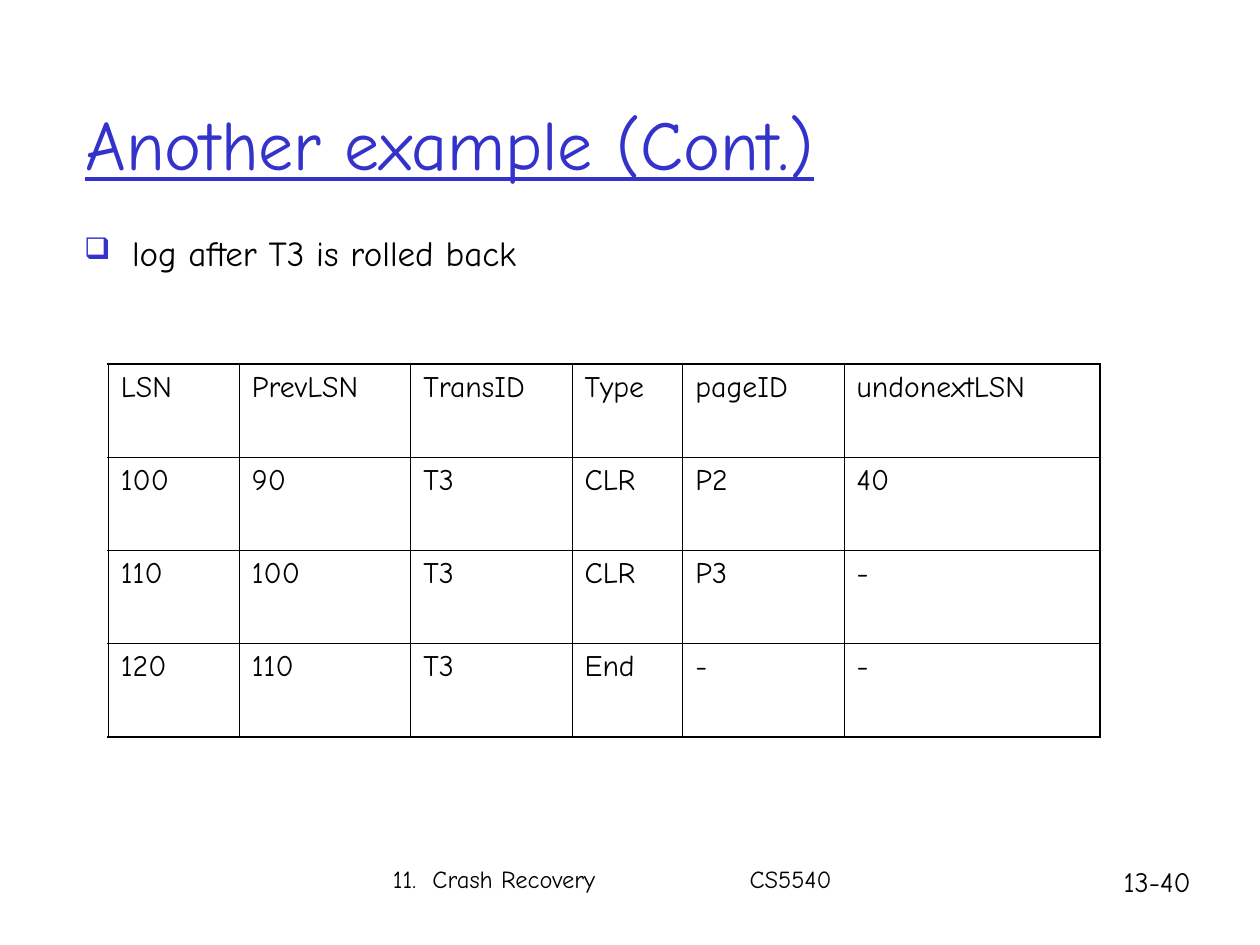
from lxml.etree import SubElement
from pptx import Presentation
from pptx.dml.color import RGBColor
from pptx.enum.text import MSO_ANCHOR as Anchor
from pptx.oxml.ns import qn
from pptx.util import Inches, Pt

FONT = "Comic Neue"
BLACK, BLUE = "000000", "3333CC"
THICK, THIN = 1.08, 0.45

LOG_COLUMNS = [1.04, 1.36, 1.28, 0.88, 1.28, 2.03]
LOG_ROW_HEIGHT = 0.74
LOG_RECORDS = [
    ["LSN", "PrevLSN", "TransID", "Type", "pageID", "undonextLSN"],
    ["100", "90", "T3", "CLR", "P2", "40"],
    ["110", "100", "T3", "CLR", "P3", "-"],
    ["120", "110", "T3", "End", "-", "-"],
]


def rgb(color):
    return RGBColor.from_string(color)


def add_bullet(paragraph, char, color, percent, indent):
    properties = paragraph._p.get_or_add_pPr()
    properties.set("marL", str(Inches(indent)))
    properties.set("indent", str(-Inches(indent)))
    bullet_color = SubElement(properties, qn("a:buClr"))
    SubElement(bullet_color, qn("a:srgbClr"), val=color)
    SubElement(properties, qn("a:buSzPct"), val=str(percent * 1000))
    SubElement(properties, qn("a:buChar"), char=char)


def add_tab_stop(paragraph, position):
    tab_list = SubElement(paragraph._p.get_or_add_pPr(), qn("a:tabLst"))
    SubElement(tab_list, qn("a:tab"), pos=str(Inches(position)), algn="l")


def write_text(frame, text, size, color=BLACK, underline=None,
               anchor=Anchor.TOP, bullet=None, tab=None):
    frame.word_wrap = True
    frame.vertical_anchor = anchor
    paragraph = frame.paragraphs[0]
    paragraph.text = text
    if bullet:
        add_bullet(paragraph, bullet, BLUE, percent=85, indent=0.38)
    if tab:
        add_tab_stop(paragraph, tab)
    font = paragraph.font
    font.name, font.size, font.underline = FONT, Pt(size), underline
    font.color.rgb = rgb(color)


def add_text(slide, left, top, width, height, text, **text_format):
    box = slide.shapes.add_textbox(
        Inches(left), Inches(top), Inches(width), Inches(height))
    write_text(box.text_frame, text, **text_format)


def set_border(cell, side, width):
    line = SubElement(cell._tc.get_or_add_tcPr(), qn(f"a:ln{side}"),
                      w=str(Pt(width)))
    fill = SubElement(line, qn("a:solidFill"))
    SubElement(fill, qn("a:srgbClr"), val=BLACK)


def add_log_table(slide, left, top):
    rows, columns = len(LOG_RECORDS), len(LOG_COLUMNS)
    table = slide.shapes.add_table(
        rows, columns, Inches(left), Inches(top),
        Inches(sum(LOG_COLUMNS)), Inches(rows * LOG_ROW_HEIGHT)).table
    table.first_row = table.horz_banding = False
    for column, width in zip(table.columns, LOG_COLUMNS):
        column.width = Inches(width)
    for r, record in enumerate(LOG_RECORDS):
        for c, value in enumerate(record):
            cell = table.cell(r, c)
            outer_sides = {"L": c == 0, "R": c == columns - 1,
                           "T": r == 0, "B": r == rows - 1}
            for side, is_outer in outer_sides.items():
                set_border(cell, side, THICK if is_outer else THIN)
            cell.fill.background()
            write_text(cell.text_frame, value, size=17)


def main():
    deck = Presentation()
    deck.slide_width, deck.slide_height = Inches(10), Inches(7.5)
    slide = deck.slides.add_slide(deck.slide_layouts[6])

    add_text(slide, 8.82, 6.81, 0.91, 0.37, "13-40", size=16)
    add_text(slide, 3.02, 6.81, 5.68, 0.5, "11.  Crash Recovery\tCS5540",
             size=14, tab=2.83)
    add_text(slide, 0.58, 0.51, 8.5, 1.24, "Another example (Cont.)",
             size=40, color=BLUE, underline=True, anchor=Anchor.MIDDLE)
    add_text(slide, 0.57, 1.79, 8.17, 0.76, "log after T3 is rolled back",
             size=20, bullet="❑")
    add_log_table(slide, 0.86, 2.89)

    deck.save("out.pptx")


if __name__ == "__main__":
    main()
